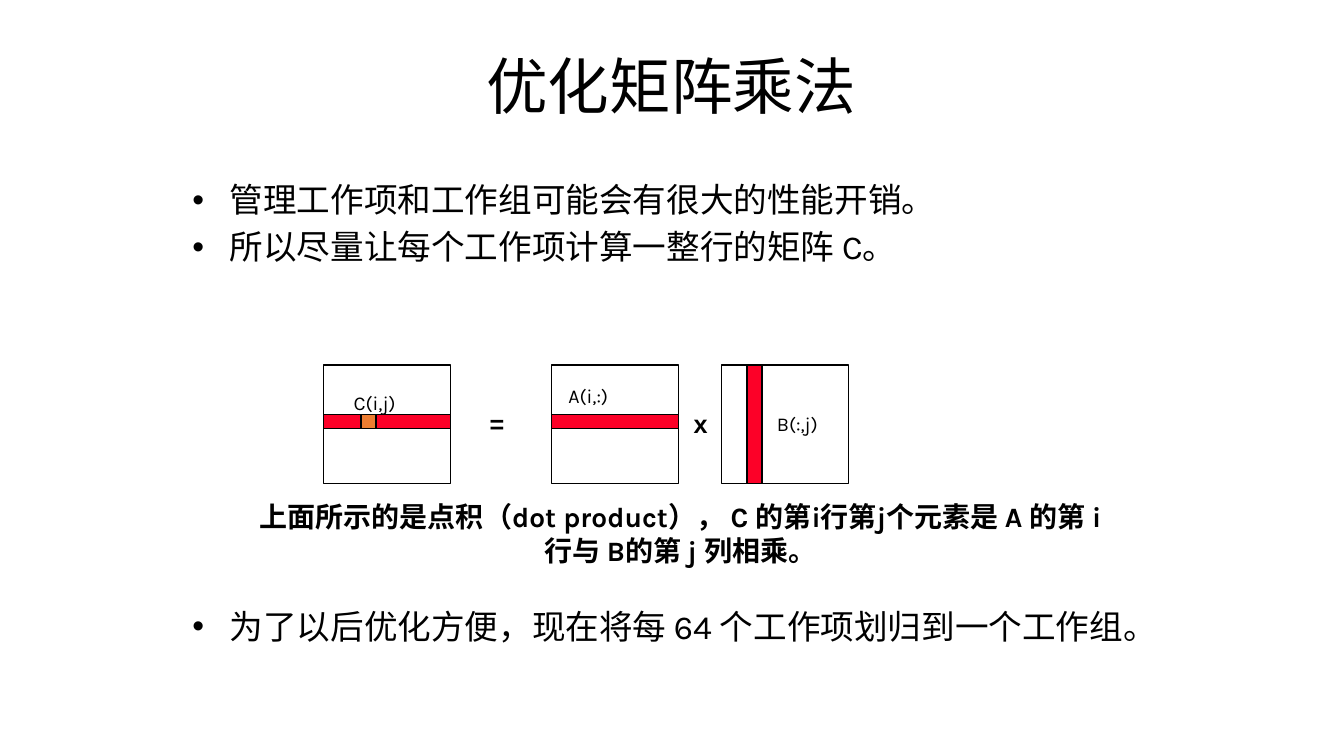
from dataclasses import dataclass

from lxml.etree import SubElement
from pptx import Presentation
from pptx.dml.color import RGBColor
from pptx.enum.shapes import MSO_SHAPE
from pptx.enum.text import MSO_ANCHOR, PP_ALIGN
from pptx.oxml.ns import qn
from pptx.slide import Slide
from pptx.util import Inches, Pt

BLACK = RGBColor(0x00, 0x00, 0x00)
RED = RGBColor(0xFC, 0x01, 0x28)
ORANGE = RGBColor(0xED, 0x7D, 0x31)

# Grid of tenth-inch columns and rows
CELL = Inches(0.1)
SLIDE_COLUMNS, SLIDE_ROWS = 133.33, 75
BODY_LEFT, BODY_WIDTH = 18, 96.1
MATRIX_TOP, MATRIX_WIDTH, MATRIX_HEIGHT = 36.2, 12.6, 11.8
ROW_OFFSET, ROW_HEIGHT = 4.9, 1.4
COLUMN_WIDTH = 1.5
LABEL_WIDTH, LABEL_HEIGHT = 7.4, 3.3
OPERATOR_TOP, OPERATOR_HEIGHT = 40, 4


@dataclass(frozen=True)
class Area:
    left: float
    top: float
    width: float
    height: float

    def lengths(self) -> tuple[int, ...]:
        return tuple(round(cells * CELL)
                     for cells in (self.left, self.top, self.width, self.height))


@dataclass(frozen=True)
class Band:
    """A highlighted part, placed relative to its matrix."""
    area: Area
    color: RGBColor


@dataclass(frozen=True)
class Matrix:
    left: float
    label: str
    label_left: float
    label_top: float
    bands: tuple[Band, ...]


@dataclass(frozen=True)
class Operator:
    symbol: str
    left: float
    width: float


ROW_BAND = Band(Area(0, ROW_OFFSET, MATRIX_WIDTH, ROW_HEIGHT), RED)
COLUMN_BAND = Band(Area(2.5, 0, COLUMN_WIDTH, MATRIX_HEIGHT), RED)
ELEMENT = Band(Area(3.7, ROW_OFFSET, COLUMN_WIDTH, ROW_HEIGHT), ORANGE)

MATRICES = (
    Matrix(32.1, "C(i,j)", 2, 2.1, (ROW_BAND, ELEMENT)),
    Matrix(54.7, "A(i,:)", 0.7, 1.4, (ROW_BAND,)),
    Matrix(71.6, "B(:,j)", 4.5, 4.2, (COLUMN_BAND,)),
)
OPERATORS = (Operator("=", 47.6, 5.9), Operator("x", 68, 1.8))


def add_bullet(para) -> None:
    properties = para._p.get_or_add_pPr()
    properties.set("marL", str(Inches(0.38)))
    properties.set("indent", str(Inches(-0.37)))
    SubElement(properties, qn("a:buFont")).set("typeface", "Arial")
    SubElement(properties, qn("a:buChar")).set("char", "•")


def add_text(page: Slide, area: Area, *lines: str, size: float, font: str = "Karla",
             bold: bool = False, align: PP_ALIGN = PP_ALIGN.LEFT,
             anchor: MSO_ANCHOR = MSO_ANCHOR.TOP, bullets: bool = False) -> None:
    box = page.shapes.add_textbox(*area.lengths())
    frame = box.text_frame
    frame.word_wrap = True
    frame.vertical_anchor = anchor
    for index, line in enumerate(lines):
        para = frame.add_paragraph() if index else frame.paragraphs[0]
        para.alignment = align
        if index:
            para.space_before = Pt(4.8)
        if bullets:
            add_bullet(para)
        span = para.add_run()
        span.text = line
        span.font.name = font
        span.font.size = Pt(size)
        span.font.bold = bold
        span.font.color.rgb = BLACK


def add_rectangle(page: Slide, area: Area, fill: RGBColor | None = None) -> None:
    shape = page.shapes.add_shape(MSO_SHAPE.RECTANGLE, *area.lengths())
    shape.shadow.inherit = False
    if fill is None:
        shape.fill.background()
    else:
        shape.fill.solid()
        shape.fill.fore_color.rgb = fill
    shape.line.color.rgb = BLACK
    shape.line.width = Pt(1)


def add_matrix(page: Slide, matrix: Matrix) -> None:
    add_rectangle(page, Area(matrix.left, MATRIX_TOP, MATRIX_WIDTH, MATRIX_HEIGHT))
    add_text(page, Area(matrix.left + matrix.label_left, MATRIX_TOP + matrix.label_top,
                        LABEL_WIDTH, LABEL_HEIGHT), matrix.label, size=14)
    for band in matrix.bands:
        area = band.area
        add_rectangle(page, Area(matrix.left + area.left, MATRIX_TOP + area.top,
                                 area.width, area.height), band.color)


def main() -> None:
    deck = Presentation()
    deck.slide_width = round(SLIDE_COLUMNS * CELL)
    deck.slide_height = SLIDE_ROWS * CELL
    page = deck.slides.add_slide(deck.slide_layouts[6])

    add_text(page, Area(17.8, 2.2, 97.6, 12.5), "优化矩阵乘法", size=44,
             align=PP_ALIGN.CENTER, anchor=MSO_ANCHOR.MIDDLE)
    add_text(page, Area(BODY_LEFT, 17.3, BODY_WIDTH, 23.6),
             "管理工作项和工作组可能会有很大的性能开销。",
             "所以尽量让每个工作项计算一整行的矩阵 C。", size=24, bullets=True)
    for matrix in MATRICES:
        add_matrix(page, matrix)
    for operator in OPERATORS:
        add_text(page, Area(operator.left, OPERATOR_TOP, operator.width, OPERATOR_HEIGHT),
                 operator.symbol, size=18, font="Arial", bold=True)
    add_text(page, Area(23.4, 49.1, 88.2, 7.6),
             "上面所示的是点积（dot product）， C 的第i行第j个元素是 A 的第 i 行与 B的第 j 列相乘。",
             size=20, bold=True, align=PP_ALIGN.CENTER)
    add_text(page, Area(BODY_LEFT, 59.6, BODY_WIDTH, 13.9),
             "为了以后优化方便，现在将每 64 个工作项划归到一个工作组。", size=24, bullets=True)
    deck.save("out.pptx")


if __name__ == "__main__":
    main()
